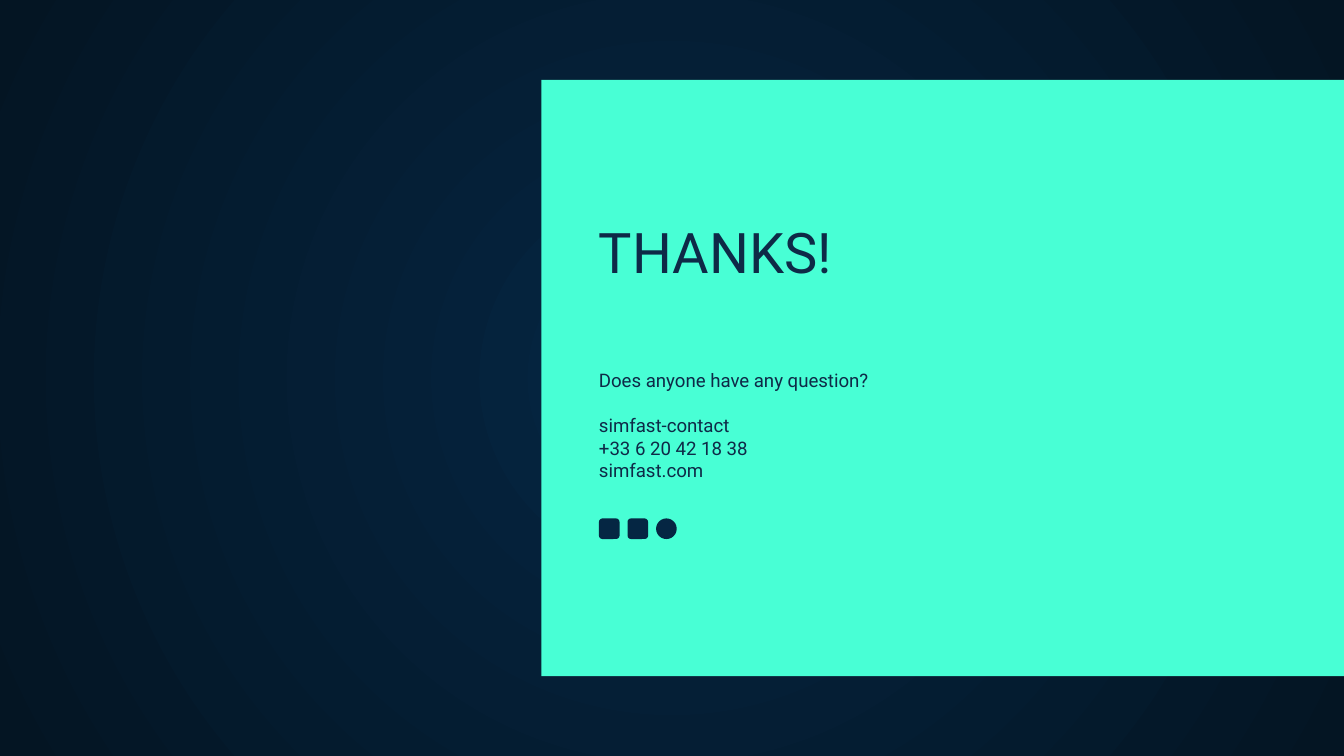
from dataclasses import dataclass

from lxml import etree
from pptx import Presentation
from pptx.dml.color import RGBColor
from pptx.enum import shapes, text
from pptx.oxml.ns import qn
from pptx.util import Cm, Pt


@dataclass(frozen=True)
class Theme:
    font: str = "Roboto"
    ink: str = "0E2A47"
    panel: str = "48FFD5"
    icon: str = "052643"
    glow: str = "052643"
    edge: str = "041523"
    title_size: int = 30
    body_size: int = 10
    inset: float = 0.25


class Deck:
    def __init__(self, prs, theme):
        self.theme = theme
        self.s = prs.slides.add_slide(prs.slide_layouts[0])

    def background(self):
        fill = self.s.background.fill
        fill.gradient()
        for stop, color in zip(fill.gradient_stops, (self.theme.glow, self.theme.edge)):
            stop.color.rgb = RGBColor.from_string(color)
        grad = next(self.s.element.iter(qn("a:gradFill")))
        grad.remove(grad.find(qn("a:lin")))
        circle = etree.SubElement(grad, qn("a:path"), {"path": "circle"})
        sides = {side: "50000" for side in "ltrb"}
        etree.SubElement(circle, qn("a:fillToRect"), sides)

    def shape(self, kind, box, color):
        sp = self.s.shapes.add_shape(kind, *map(Cm, box))
        sp.shadow.inherit = False
        sp.fill.solid()
        sp.fill.fore_color.rgb = RGBColor.from_string(color)
        sp.line.fill.background()
        return sp

    def panel(self, box):
        sp = self.shape(shapes.MSO_SHAPE.RECTANGLE, box, self.theme.panel)
        self.s.shapes.element.insert(2, sp.element)

    def placeholder(self, sp, box, groups, size, anchor):
        sp.left, sp.top, sp.width, sp.height = map(Cm, box)
        tf = sp.text_frame
        tf.text = "\n".join(line for group in groups for line in group)
        tf.word_wrap = True
        tf.auto_size = text.MSO_AUTO_SIZE.NONE
        tf.vertical_anchor = anchor
        tf.margin_left = tf.margin_right = Cm(self.theme.inset)
        tf.margin_top = tf.margin_bottom = Cm(self.theme.inset)
        first_lines = [i == 0 and g > 0 for g, group in enumerate(groups) for i in range(len(group))]
        for p, opens_group in zip(tf.paragraphs, first_lines):
            p.alignment = text.PP_ALIGN.LEFT
            p.space_before = Pt(size * 1.2 if opens_group else 0)
            p.font.name = self.theme.font
            p.font.size = Pt(size)
            p.font.color.rgb = RGBColor.from_string(self.theme.ink)

    def title(self, box, line):
        self.placeholder(self.s.shapes.title, box, [[line]],
                         self.theme.title_size, text.MSO_ANCHOR.BOTTOM)

    def body(self, box, groups):
        self.placeholder(self.s.placeholders[1], box, groups,
                         self.theme.body_size, text.MSO_ANCHOR.TOP)

    def icons(self, left, top, size, pitch, kinds):
        for i, kind in enumerate(kinds):
            self.shape(kind, (left + i * pitch, top, size, size), self.theme.icon)


def main():
    prs = Presentation()
    prs.slide_width, prs.slide_height = Cm(25.4), Cm(14.29)
    deck = Deck(prs, Theme())
    deck.background()
    deck.panel((10.23, 1.51, 16.13, 11.27))
    deck.title((11.07, 3.96, 9.93, 1.68), "THANKS!")
    deck.body((11.07, 6.73, 12.42, 5.21), [
        ["Does anyone have any question?"],
        ["simfast-contact", "+33 6 20 42 18 38", "simfast.com"],
    ])
    square, oval = shapes.MSO_SHAPE.ROUNDED_RECTANGLE, shapes.MSO_SHAPE.OVAL
    deck.icons(11.32, 9.8, 0.39, 0.54, (square, square, oval))
    prs.save("out.pptx")


if __name__ == "__main__":
    main()
